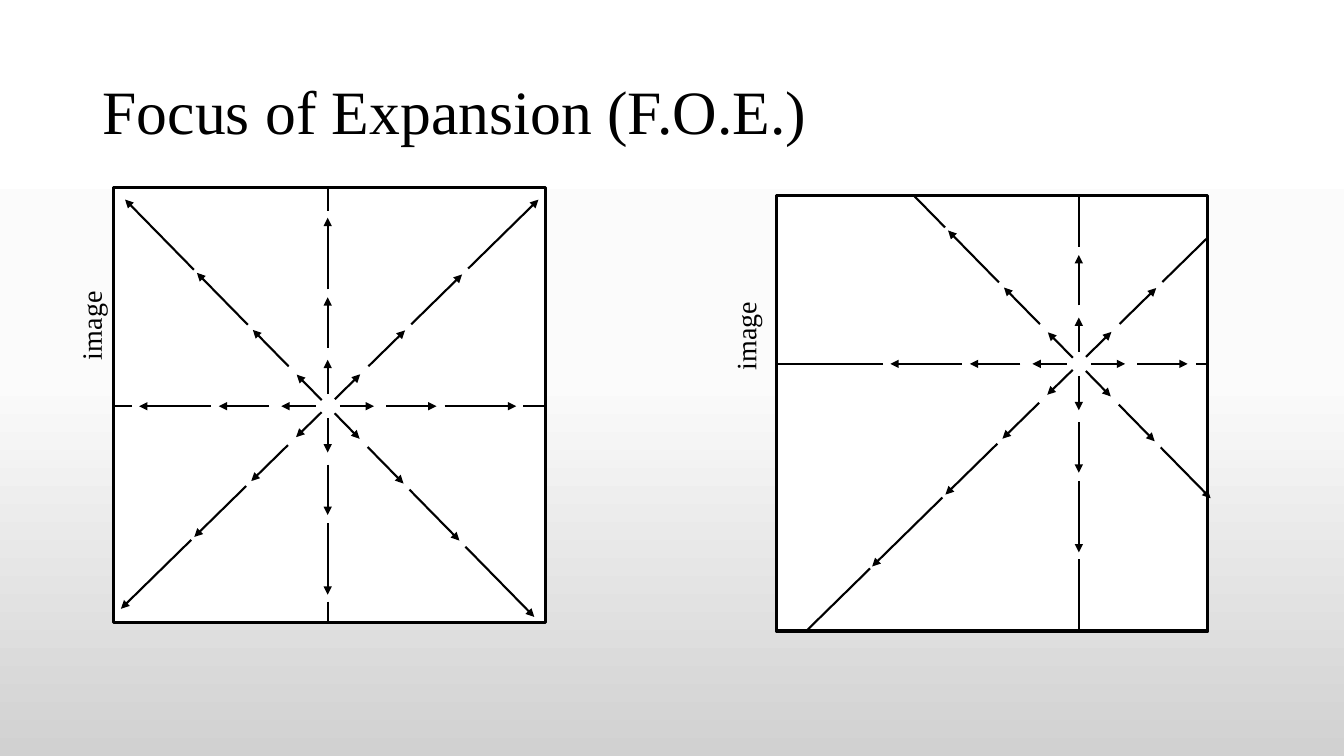
import copy
import math
from dataclasses import dataclass

import pptx
import pptx.dml.color
import pptx.enum.shapes
import pptx.enum.text
import pptx.oxml
import pptx.oxml.ns
import pptx.slide
import pptx.util

Inches = pptx.util.Inches
RGB = pptx.dml.color.RGBColor
Steps = tuple[tuple[float, float], ...]


@dataclass(frozen=True)
class Theme:
    font: str = "Times New Roman"
    ink: RGB = RGB(0, 0, 0)
    paper: RGB = RGB(255, 255, 255)
    backdrop: tuple[tuple[float, str], ...] = ((0, "FFFFFF"), (0.5, "FBFBFB"), (1, "D1D1D1"))
    title_size: int = 44
    label_size: int = 20
    frame_width: float = 2.25
    arrow_width: float = 1.5


@dataclass(frozen=True)
class Ray:
    dx: float
    dy: float
    steps: Steps


@dataclass(frozen=True)
class Panel:
    left: float
    top: float
    focus_x: float
    focus_y: float
    label_left: float
    label_top: float
    width: float = 4.28
    height: float = 4.32


THEME = Theme()
EDGE_TOLERANCE = 0.03
MIN_LENGTH = 0.1

# Distances from the focus; an infinite step runs on to the frame.
AXIS: Steps = ((0.12, 0.46), (0.58, 1.08), (1.16, 1.87), (1.94, math.inf))
RIGHTWARD: Steps = ((0.07, 0.32), (0.4, 0.76), (0.82, 1.32), (1.38, 2.07))
LEFTWARD: Steps = ((0.06, 0.31), (0.39, 0.75), (0.8, 1.31), (1.34, 2.03), (2.05, math.inf))
RAYS = (
    Ray(0, -1, AXIS), Ray(0, 1, AXIS), Ray(1, 0, AXIS), Ray(-1, 0, AXIS),
    Ray(1.01, -0.99, RIGHTWARD), Ray(0.99, 1.01, RIGHTWARD),
    Ray(-1.01, 0.99, LEFTWARD), Ray(-0.99, -1.01, LEFTWARD),
)
PANELS = (
    Panel(1.13, 1.86, 3.25, 4.03, 0, 2.55),
    Panel(7.7, 1.94, 10.7, 3.61, 6.49, 2.65),
)


def paint_background(s: pptx.slide.Slide) -> None:
    fill = s.background.fill
    fill.gradient()
    fill.gradient_angle = 270
    stops = s.element.find(".//" + pptx.oxml.ns.qn("a:gsLst"))
    stops.append(copy.deepcopy(stops[0]))
    for stop, (position, color) in zip(fill.gradient_stops, THEME.backdrop):
        stop.position = position
        stop.color.rgb = RGB.from_string(color)


def add_text(s: pptx.slide.Slide, text: str, left: float, top: float, width: float,
             height: float, size: int, rotation: int = 0, spacing: float = 1.0) -> None:
    sp = s.shapes.add_textbox(Inches(left), Inches(top), Inches(width), Inches(height))
    sp.rotation = rotation
    tf = sp.text_frame
    tf.word_wrap = True
    tf.vertical_anchor = pptx.enum.text.MSO_ANCHOR.MIDDLE
    p = tf.paragraphs[0]
    p.text = text
    p.line_spacing = spacing
    p.font.name = THEME.font
    p.font.size = pptx.util.Pt(size)
    p.font.color.rgb = THEME.ink


def add_line(s: pptx.slide.Slide, x1: float, y1: float, x2: float, y2: float,
             arrow: bool) -> None:
    line = s.shapes.add_connector(pptx.enum.shapes.MSO_CONNECTOR.STRAIGHT,
                                  Inches(x1), Inches(y1), Inches(x2), Inches(y2))
    line.line.color.rgb = THEME.ink
    line.line.width = pptx.util.Pt(THEME.arrow_width)
    if arrow:
        tail = pptx.oxml.parse_xml(
            f'<a:tailEnd {pptx.oxml.ns.nsdecls("a")} type="triangle"/>')
        line.line._get_or_add_ln().append(tail)
    line._element.spPr.append(
        pptx.oxml.parse_xml(f'<a:effectLst {pptx.oxml.ns.nsdecls("a")}/>'))


def reach(panel: Panel, ray: Ray) -> float:
    """Return the distance along the ray at which it meets the frame."""
    limits = []
    for focus, start, size, d in (
        (panel.focus_x, panel.left, panel.width, ray.dx),
        (panel.focus_y, panel.top, panel.height, ray.dy),
    ):
        if d:
            edge = start + size if d > 0 else start
            limits.append((edge - focus) / d)
    return min(limits)


def add_ray(s: pptx.slide.Slide, panel: Panel, ray: Ray) -> None:
    """Draw the steps inside the frame; a step cut by the frame has no head."""
    limit = reach(panel, ray)
    for start, end in ray.steps:
        clipped = end > limit + EDGE_TOLERANCE
        end = limit if clipped else end
        if end - start >= MIN_LENGTH:
            add_line(s, panel.focus_x + start * ray.dx, panel.focus_y + start * ray.dy,
                     panel.focus_x + end * ray.dx, panel.focus_y + end * ray.dy,
                     arrow=not clipped)


def add_panel(s: pptx.slide.Slide, panel: Panel) -> None:
    frame = s.shapes.add_shape(pptx.enum.shapes.MSO_SHAPE.RECTANGLE,
                               Inches(panel.left), Inches(panel.top),
                               Inches(panel.width), Inches(panel.height))
    frame.shadow.inherit = False
    frame.fill.solid()
    frame.fill.fore_color.rgb = THEME.paper
    frame.line.color.rgb = THEME.ink
    frame.line.width = pptx.util.Pt(THEME.frame_width)
    for ray in RAYS:
        add_ray(s, panel, ray)
    add_text(s, "image", panel.label_left, panel.label_top, 1.8, 0.44,
             THEME.label_size, rotation=270)


def main() -> None:
    prs = pptx.Presentation()
    prs.slide_width, prs.slide_height = Inches(13.33), Inches(7.5)
    s = prs.slides.add_slide(prs.slide_layouts[6])
    paint_background(s)
    add_text(s, "Focus of Expansion (F.O.E.)", 0.92, 0.41, 11.5, 1.45,
             THEME.title_size, spacing=0.9)
    for panel in PANELS:
        add_panel(s, panel)
    prs.save("out.pptx")


if __name__ == "__main__":
    main()
